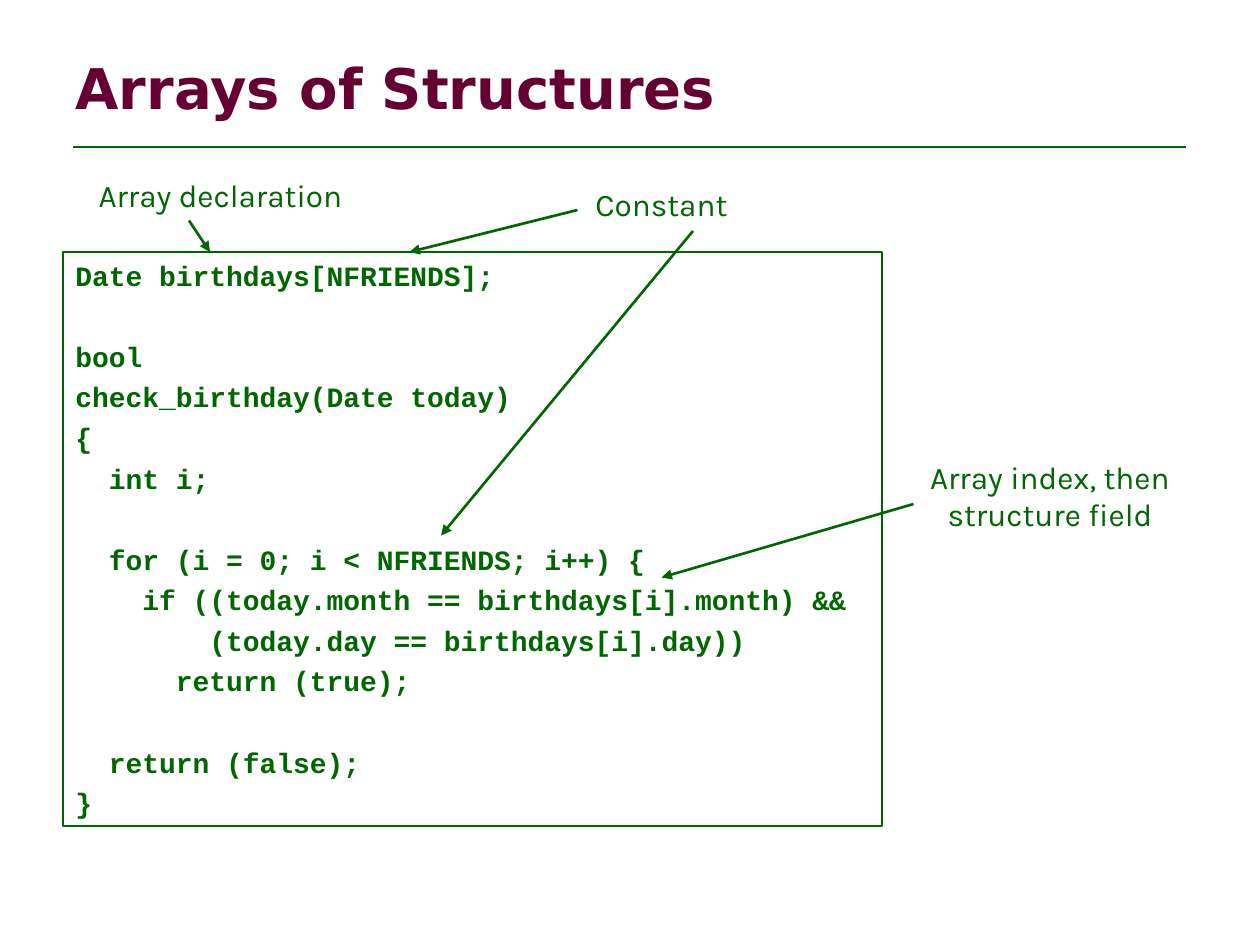
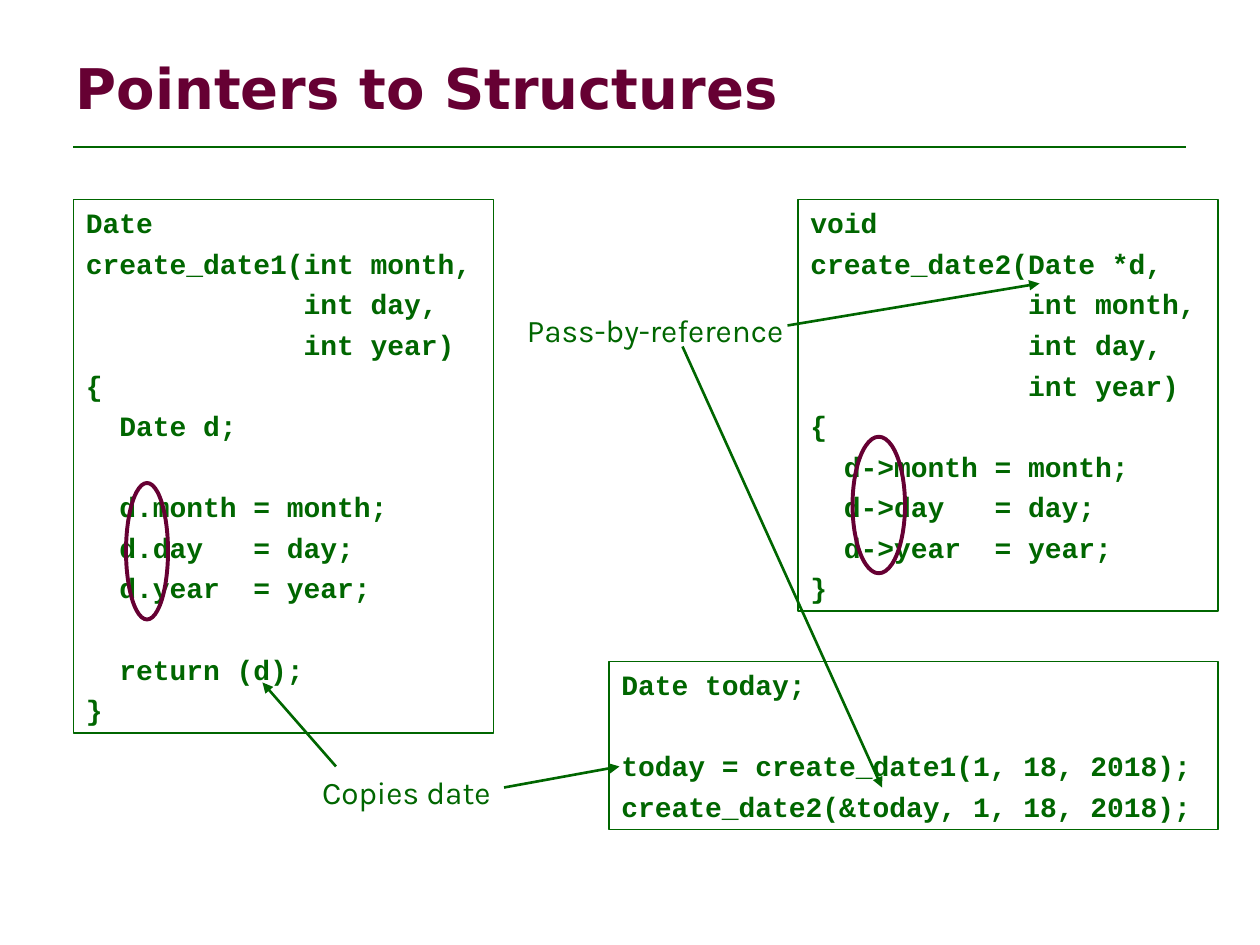
from lxml import etree
from pptx import Presentation
from pptx.dml.color import RGBColor
from pptx.enum.shapes import MSO_CONNECTOR, MSO_SHAPE
from pptx.enum.text import MSO_ANCHOR, MSO_AUTO_SIZE, PP_ALIGN
from pptx.oxml.ns import qn
from pptx.util import Inches, Pt

RECT, OVAL = MSO_SHAPE.RECTANGLE, MSO_SHAPE.OVAL
STRAIGHT = MSO_CONNECTOR.STRAIGHT
LEFT, CENTER = PP_ALIGN.LEFT, PP_ALIGN.CENTER
TOP, MIDDLE = MSO_ANCHOR.TOP, MSO_ANCHOR.MIDDLE
NO_FIT = MSO_AUTO_SIZE.NONE

COLORS = {"green": "006600", "plum": "660033"}
COLS, ROWS = 120, 90  # square cells, 12 to the inch
LINE_PT, GAP_PT = 19.2, 4  # height of a code line and the space between lines
INSET = 0.05

BIRTHDAY_CODE = """\
Date birthdays[NFRIENDS];

bool
check_birthday(Date today)
{
  int i;

  for (i = 0; i < NFRIENDS; i++) {
    if ((today.month == birthdays[i].month) &&
        (today.day == birthdays[i].day))
      return (true);

  return (false);
}"""

BY_VALUE_CODE = """\
Date
create_date1(int month,
             int day,
             int year)
{
  Date d;

  d.month = month;
  d.day   = day;
  d.year  = year;

  return (d);
}"""

BY_REFERENCE_CODE = """\
void
create_date2(Date *d,
             int month,
             int day,
             int year)
{
  d->month = month;
  d->day   = day;
  d->year  = year;
}"""

CALLS_CODE = """\
Date today;

today = create_date1(1, 18, 2018);
create_date2(&today, 1, 18, 2018);"""


def cells(*values):
    return [Inches(v / 12) for v in values]


def color(name):
    return RGBColor.from_string(COLORS[name])


def style(p, font, size, name="green", bold=False):
    for r in p.runs:
        r.font.name, r.font.size, r.font.bold = font, Pt(size), bold
        r.font.color.rgb = color(name)


def add_line(s, start, end, arrow=True):
    line = s.shapes.add_connector(STRAIGHT, *cells(*start, *end))
    line.line.color.rgb = color("green")
    line.line.width = Pt(1.5)
    if arrow:
        ln = line.line._get_or_add_ln()
        etree.SubElement(ln, qn("a:tailEnd"), type="triangle")
    etree.SubElement(line._element.spPr, qn("a:effectLst"))


def add_outline(s, kind, box, name, width):
    sp = s.shapes.add_shape(kind, *box)
    sp.shadow.inherit = False
    sp.fill.background()
    sp.line.color.rgb = color(name)
    sp.line.width = Pt(width)
    return sp


def add_code(s, left, top, width, code):
    """Frame a listing; the frame's height follows from its number of lines."""
    lines = code.split("\n")
    height = Pt(len(lines) * (LINE_PT + GAP_PT) - GAP_PT) + Inches(2 * INSET)
    sp = add_outline(s, RECT, (*cells(left, top, width), height), "green", 0.75)
    tf = sp.text_frame
    tf.text = code
    tf.word_wrap, tf.vertical_anchor = True, TOP
    for i, p in enumerate(tf.paragraphs):
        p.alignment = LEFT
        p.line_spacing = Pt(LINE_PT)
        p.space_before = Pt(GAP_PT if i else 0)
        style(p, "Courier New", 16, bold=True)


def add_oval(s, left, top, width):
    add_outline(s, OVAL, cells(left, top, width, 13), "plum", 2.25)


def add_label(s, left, top, width, text, align=CENTER, height=4.8):
    tf = s.shapes.add_textbox(*cells(left, top, width, height)).text_frame
    tf.text = text
    tf.word_wrap = True
    p = tf.paragraphs[0]
    p.alignment = align
    style(p, "Karla", 18)


def add_titled_slide(prs, title):
    s = prs.slides.add_slide(prs.slide_layouts[5])
    add_line(s, (7, 14), (COLS - 7, 14), arrow=False)
    sp = s.shapes.title
    sp.left, sp.top, sp.width, sp.height = cells(6, 3.6, COLS - 12, 9.4)
    tf = sp.text_frame
    tf.text = title
    tf.auto_size, tf.vertical_anchor = NO_FIT, MIDDLE
    tf.paragraphs[0].alignment = LEFT
    style(tf.paragraphs[0], "DejaVu Sans", 32, "plum", True)
    return s


def build_arrays(prs):
    s = add_titled_slide(prs, "Arrays of Structures")
    left, top = 6, 24
    add_code(s, left, top, 78, BIRTHDAY_CODE)
    add_label(s, left, top - 7.8, 30, "Array declaration")
    add_label(s, left + 48, top - 7, 18, "Constant")
    add_label(s, left + 79, top + 19, 30, "Array index, then structure field",
              height=8.4)
    for start, end in [((49, -4), (33, 0)), ((12, -3), (14, 0)),
                       ((81, 24), (57, 31)), ((60, -2), (36, 27))]:
        add_line(s, (left + start[0], top + start[1]),
                 (left + end[0], top + end[1]))


def build_pointers(prs):
    s = add_titled_slide(prs, "Pointers to Structures")
    left, right, top, width = 7, 76, 19, 40
    add_code(s, left, top, width, BY_VALUE_CODE)
    add_oval(s, left + 5, top + 27, 4)
    add_code(s, right, top, width, BY_REFERENCE_CODE)
    add_oval(s, right + 5.2, top + 22.6, 5)
    add_code(s, right + width - 58, 63, 58, CALLS_CODE)
    add_label(s, 29.5, 73, 19, "Copies date", LEFT)
    add_label(s, 49, 29, 27.6, "Pass-by-reference", LEFT)
    for start, end in [((32, 73), (25, 65)), ((48, 75), (59, 73)),
                       ((75, 31), (99, 27)), ((65, 33), (84, 75))]:
        add_line(s, start, end)


def main():
    prs = Presentation()
    prs.slide_width, prs.slide_height = cells(COLS, ROWS)
    build_arrays(prs)
    build_pointers(prs)
    prs.save("out.pptx")


if __name__ == "__main__":
    main()
